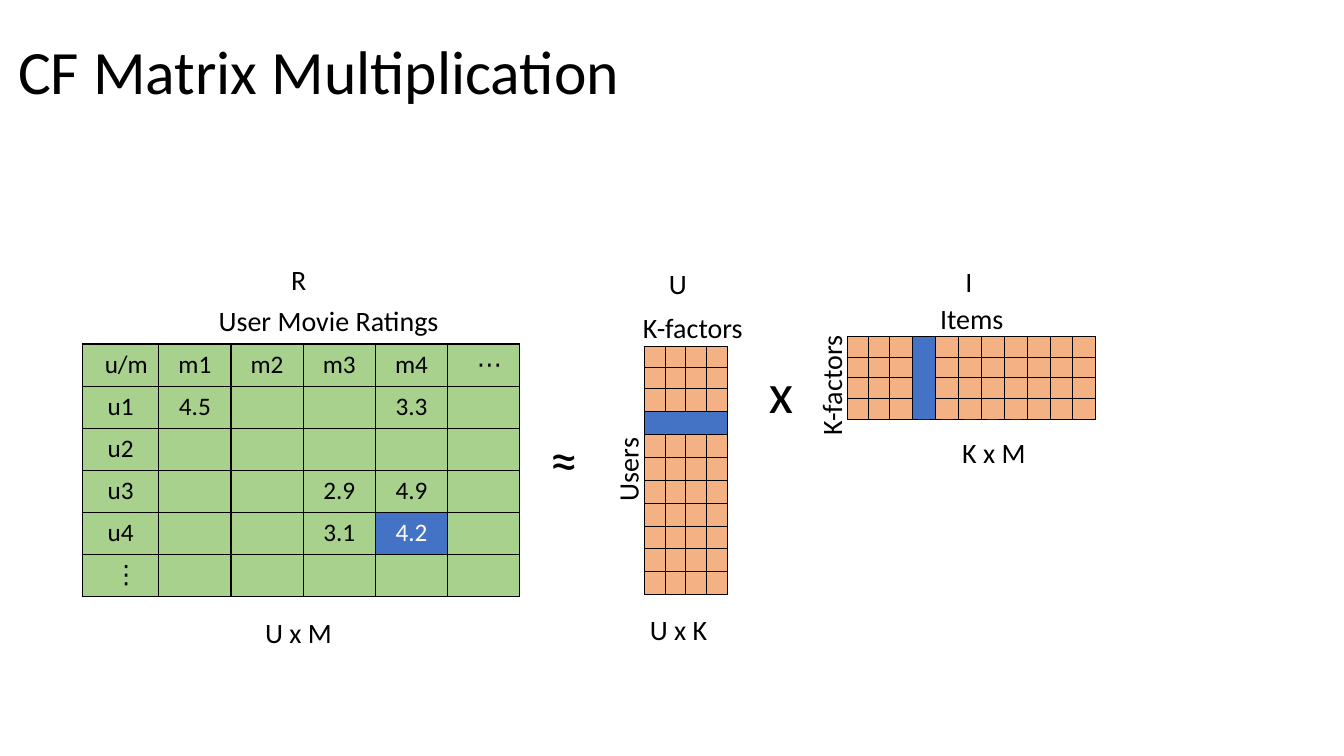
from dataclasses import dataclass
from itertools import accumulate

from lxml import etree
from pptx import Presentation
from pptx.dml.color import RGBColor as Rgb
from pptx.enum import shapes, text
from pptx.oxml import ns
from pptx.util import Cm, Pt


@dataclass(frozen=True)
class Theme:
    font: str = "Calibri"
    ink: str = "000000"
    pale: str = "FFFFFF"
    green: str = "A9D18E"
    peach: str = "F4B183"
    blue: str = "4472C4"
    title: int = 44
    sign: int = 40
    label: int = 20
    cell: int = 18
    thin: float = 0.5
    rule: float = 1


@dataclass(frozen=True)
class Label:
    words: str
    x: float
    y: float
    w: float
    h: float = 1.12
    size: int = Theme.label
    turn: int = 0


@dataclass(frozen=True)
class Factor:
    x: float
    y: float
    tall: bool


THEME = Theme()
RATINGS = [
    ["u/m", "m1", "m2", "m3", "m4", "⋯"],
    ["u1", "4.5", "", "", "3.3", ""],
    ["u2", "", "", "", "", ""],
    ["u3", "", "", "2.9", "4.9", ""],
    ["u4", "", "", "3.1", "4.2", ""],
    ["⋮", "", "", "", "", ""],
]
CHOSEN = (4, 4)
NUDGED = {"u/m", "⋯", "⋮"}
FIRST, OTHER, ROW = 1.92, 1.82, 1.06
STRIPS, STRIP = 4, 0.52
BANDS = [0.53] * 2 + [0.577] * 9
PICKED = 3
FACTORS = [Factor(16.24, 8.73, True), Factor(21.36, 8.48, False)]
LABELS = [
    Label("≈", 13.61, 10.57, 1.22, 1.96, THEME.sign),
    Label("x", 19.13, 8.89, 1.14, 1.96, THEME.sign),
    Label("Users", 14.76, 11.25, 2.13, turn=270),
    Label("K-factors", 15.95, 7.7, 3.05),
    Label("Items", 23.44, 7.47, 2.13),
    Label("K-factors", 19.43, 9.14, 3.05, turn=270),
    Label("U x M", 6.43, 15.39, 2.21),
    Label("U x K", 16.13, 15.32, 1.98),
    Label("K x M", 24, 10.85, 2.11),
    Label("R", 7.09, 6.48, 0.89),
    Label("U", 16.61, 6.6, 0.97),
    Label("User Movie Ratings", 5.26, 7.52, 6.12),
    Label("I", 24.08, 6.55, 0.69),
]


def assign(target, values: dict) -> None:
    for name, value in values.items():
        setattr(target, name, value)


def style(para, size: float, ink: str = THEME.ink) -> None:
    assign(para.font, {"name": THEME.font, "size": Pt(size), "bold": False})
    para.font.color.rgb = Rgb.from_string(ink)


def paint(fill, tint: str) -> None:
    fill.solid()
    fill.fore_color.rgb = Rgb.from_string(tint)


def add_title(slide, words: str) -> None:
    title = slide.shapes.title
    assign(title, {"left": Cm(0.2), "top": Cm(0.03), "width": Cm(23.44), "height": Cm(3.68)})
    frame = title.text_frame
    assign(frame, {"text": words, "auto_size": text.MSO_AUTO_SIZE.NONE,
                   "vertical_anchor": text.MSO_ANCHOR.MIDDLE})
    para = frame.paragraphs[0]
    assign(para, {"alignment": text.PP_ALIGN.LEFT, "line_spacing": 0.9})
    style(para, THEME.title)


def add_edges(cell) -> None:
    props = cell._tc.get_or_add_tcPr()
    for spot, side in enumerate(("lnL", "lnR", "lnT", "lnB")):
        line = etree.Element(ns.qn(f"a:{side}"), w=str(Pt(THEME.rule)))
        fill = etree.SubElement(line, ns.qn("a:solidFill"))
        etree.SubElement(fill, ns.qn("a:srgbClr"), val=THEME.ink)
        props.insert(spot, line)


def add_ratings(slide) -> None:
    rows, cols = len(RATINGS), len(RATINGS[0])
    widths = [FIRST] + [OTHER] * (cols - 1)
    grid = slide.shapes.add_table(rows, cols, Cm(2.08), Cm(8.67),
                                  Cm(sum(widths)), Cm(ROW * rows)).table
    assign(grid, {"first_row": False, "horz_banding": False})
    for col, width in zip(grid.columns, widths):
        col.width = Cm(width)
    for r, row in enumerate(RATINGS):
        grid.rows[r].height = Cm(ROW)
        for c, words in enumerate(row):
            cell = grid.cell(r, c)
            chosen = (r, c) == CHOSEN
            cell.text = words
            if words in NUDGED:
                cell.margin_left = Cm(0.54)
            para = cell.text_frame.paragraphs[0]
            para.alignment = text.PP_ALIGN.CENTER
            style(para, THEME.cell, THEME.pale if chosen else THEME.ink)
            paint(cell.fill, THEME.blue if chosen else THEME.green)
            add_edges(cell)


def add_bar(group, x: float, y: float, w: float, h: float, tint: str = "") -> None:
    bar = group.shapes.add_shape(shapes.MSO_SHAPE.RECTANGLE, Cm(x), Cm(y), Cm(w), Cm(h))
    bar.shadow.inherit = False
    if tint:
        paint(bar.fill, tint)
    else:
        bar.fill.background()
    bar.line.width = Pt(THEME.thin)
    bar.line.color.rgb = Rgb.from_string(THEME.ink)


def add_factor(slide, item: Factor) -> None:
    group = slide.shapes.add_group_shape()
    span, depth = sum(BANDS), STRIPS * STRIP
    bars = [(n * STRIP, 0, STRIP, span, THEME.peach) for n in range(STRIPS)]
    starts = accumulate(BANDS, initial=0)
    bars += [(0, start, depth, size, THEME.blue if n == PICKED else "")
             for n, (start, size) in enumerate(zip(starts, BANDS)) if n]
    for x, y, w, h, tint in bars:
        if not item.tall:
            x, y, w, h = y, x, h, w
        add_bar(group, item.x + x, item.y + y, w, h, tint)


def add_label(slide, item: Label) -> None:
    box = slide.shapes.add_textbox(Cm(item.x), Cm(item.y), Cm(item.w), Cm(item.h))
    box.rotation = item.turn
    frame = box.text_frame
    assign(frame, {"text": item.words, "word_wrap": False,
                   "auto_size": text.MSO_AUTO_SIZE.SHAPE_TO_FIT_TEXT})
    style(frame.paragraphs[0], item.size)


def main() -> None:
    deck = Presentation()
    assign(deck, {"slide_width": Cm(33.87), "slide_height": Cm(19.05)})
    slide = deck.slides.add_slide(deck.slide_layouts[5])
    add_title(slide, "CF Matrix Multiplication")
    add_ratings(slide)
    for item in FACTORS:
        add_factor(slide, item)
    for item in LABELS:
        add_label(slide, item)
    deck.save("out.pptx")


if __name__ == "__main__":
    main()
